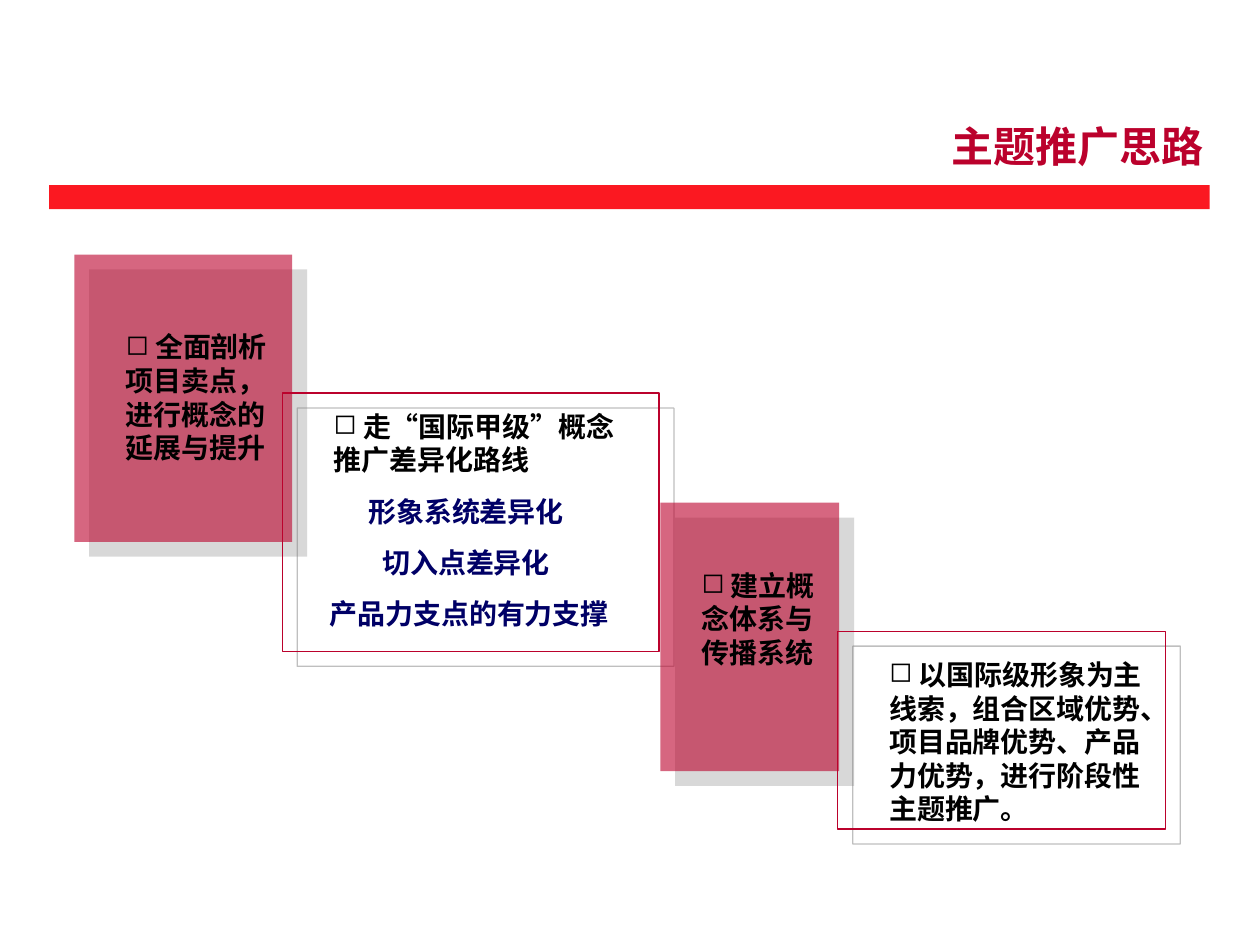
from lxml import etree
from pptx import Presentation
from pptx.dml.color import RGBColor
from pptx.enum.shapes import MSO_SHAPE as Shape
from pptx.enum.text import MSO_ANCHOR as Anchor, MSO_AUTO_SIZE as Auto, PP_ALIGN as Align
from pptx.oxml import parse_xml
from pptx.oxml.ns import nsdecls, qn
from pptx.util import Inches, Pt

RED, CRIMSON, NAVY, BLACK = "FB1821", "BB012C", "000066", "000000"


def color(text):
    return RGBColor.from_string(text)


def style(para, size, ink):
    font = para.font
    font.name, font.size, font.bold = "Arial", Pt(size), True
    font.color.rgb = color(ink)


prs = Presentation()
prs.slide_width, prs.slide_height = Inches(10), Inches(7.5)
slide = prs.slides.add_slide(prs.slide_layouts[5])

bar = slide.shapes.add_shape(
    Shape.RECTANGLE, Inches(0.39), Inches(1.47), Inches(9.21), Inches(0.19))
bar.shadow.inherit = False
bar.fill.solid()
bar.fill.fore_color.rgb = color(RED)
bar.line.fill.background()

title = slide.shapes.title
title.left, title.top = Inches(5.17), Inches(0.91)
title.width, title.height = Inches(4.48), Inches(0.5)
frame = title.text_frame
frame.text = "主题推广思路"
frame.auto_size = Auto.NONE
frame.vertical_anchor = Anchor.TOP
frame.paragraphs[0].alignment = Align.RIGHT
style(frame.paragraphs[0], 24, CRIMSON)

# Each step: box, text area, filled or outlined, main point, sub-points
steps = [
    ((0.59, 2.02, 1.73, 2.28), (0.67, 2.57, 1.57, 1.17), True,
     "全面剖析项目卖点，进行概念的延展与提升", []),
    ((2.24, 3.12, 2.99, 2.05), (2.32, 3.2, 2.76, 1.85), False,
     "走“国际甲级”概念推广差异化路线",
     ["形象系统差异化", "切入点差异化", " 产品力支点的有力支撑"]),
    ((5.24, 3.99, 1.42, 2.13), (5.24, 4.46, 1.5, 0.9), True,
     "建立概念体系与传播系统", []),
    ((6.65, 5.01, 2.6, 1.57), (6.73, 5.17, 2.6, 1.44), False,
     "以国际级形象为主线索，组合区域优势、项目品牌优势、产品力优势，进行阶段性主题推广。", []),
]

for area, inner, filled, point, subs in steps:
    group = slide.shapes.add_group_shape()
    box = group.shapes.add_shape(Shape.RECTANGLE, *map(Inches, area))
    if filled:
        box.fill.solid()
        box.fill.fore_color.rgb = color(CRIMSON)
        tint = box.fill._xPr.find(qn("a:solidFill"))[0]
        etree.SubElement(tint, qn("a:alpha"), val="60000")
        box.line.fill.background()
    else:
        box.fill.background()
        box.line.color.rgb = color(CRIMSON)
        box.line.width = Pt(0.75)
    box.shadow.inherit = False
    effects = box._element.spPr.find(qn("a:effectLst"))
    effects.append(parse_xml(
        f'<a:outerShdw {nsdecls("a")} dist="{Pt(12.1)}" dir="2700000" '
        'algn="ctr" rotWithShape="0"><a:srgbClr val="808080">'
        '<a:alpha val="50000"/></a:srgbClr></a:outerShdw>'))

    frame = group.shapes.add_textbox(*map(Inches, inner)).text_frame
    frame.word_wrap = True
    frame.auto_size = Auto.SHAPE_TO_FIT_TEXT
    para = frame.paragraphs[0]
    para.text = " " + point
    props = para._p.get_or_add_pPr()
    props.set("marL", str(Inches(0.23)))
    props.set("indent", "0")
    tone = etree.SubElement(props, qn("a:buClr"))
    etree.SubElement(tone, qn("a:srgbClr"), val=BLACK)
    etree.SubElement(props, qn("a:buChar"), char="◻")
    style(para, 16, BLACK)
    for sub in subs:
        para = frame.add_paragraph()
        para.text = sub
        para.alignment = Align.CENTER
        para.space_before = Pt(10)
        style(para, 16, NAVY)

prs.save("out.pptx")
